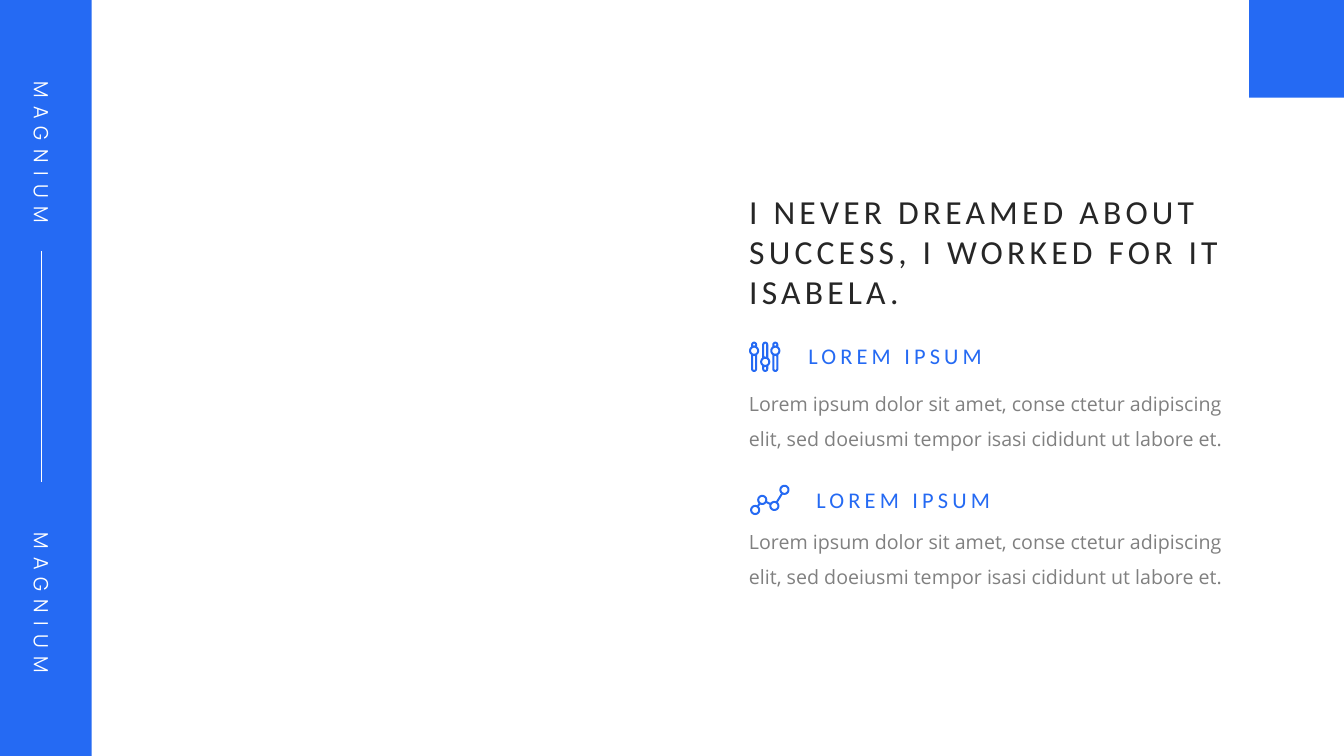
from dataclasses import dataclass
from itertools import pairwise
from math import acos, asin, atan2, cos, hypot, pi, sin

from lxml.etree import SubElement
from pptx import Presentation
from pptx.dml.color import RGBColor
from pptx.enum.shapes import MSO_CONNECTOR, MSO_SHAPE
from pptx.enum.text import MSO_ANCHOR, MSO_AUTO_SIZE, PP_ALIGN
from pptx.oxml.ns import qn
from pptx.shapes.autoshape import Shape
from pptx.slide import Slide
from pptx.util import Inches, Pt

BLUE = "256AF3"
WHITE = "FFFFFF"
DARK = "262626"
GRAY = "808080"
KNOB_RADIUS = 0.05
HOLE_RADIUS = 0.03
TRACK_RADIUS = 0.03
SLOT_RADIUS = 0.01
LINK_WIDTH = 0.02
TRACK_TOP, TRACK_BOTTOM = 3.39, 3.69


@dataclass(frozen=True)
class Box:
    left: float
    top: float
    width: float
    height: float


@dataclass(frozen=True)
class TextStyle:
    font: str
    size: float
    color: str
    spacing: float = 0
    align: PP_ALIGN = PP_ALIGN.LEFT
    line_spacing: float = 1.0
    wrap: bool = True


@dataclass(frozen=True)
class Feature:
    heading: Box
    body: Box


@dataclass(frozen=True)
class Point:
    x: float
    y: float


Outline = list[Point]

TITLE = TextStyle("Calibri", 24, DARK, spacing=3)
HEADING = TextStyle("Calibri", 16, BLUE, spacing=3, align=PP_ALIGN.RIGHT, wrap=False)
BODY = TextStyle("Open Sans", 14, GRAY, line_spacing=1.5)
SIDE_LABEL = TextStyle("Manrope", 14, WHITE, spacing=6, align=PP_ALIGN.CENTER)

TITLE_TEXT = "I NEVER DREAMED ABOUT SUCCESS, I WORKED FOR IT ISABELA."
HEADING_TEXT = "LOREM IPSUM"
BODY_TEXT = (
    "Lorem ipsum dolor sit amet, conse ctetur adipiscing elit, "
    "sed doeiusmi tempor isasi cididunt ut labore et."
)
FEATURES = [
    Feature(Box(7.74, 3.35, 2.1, 0.37), Box(7.33, 3.72, 5.08, 0.77)),
    Feature(Box(7.82, 4.77, 2.1, 0.37), Box(7.33, 5.09, 5.08, 0.77)),
]
SIDE_LABEL_TOPS = [1.34, 5.81]
SLIDER_KNOBS = [Point(7.48, 3.48), Point(7.69, 3.48), Point(7.59, 3.59)]
GRAPH_NODES = [Point(7.49, 5.06), Point(7.56, 4.96), Point(7.68, 5.02), Point(7.78, 4.86)]


def color(value: str) -> RGBColor:
    return RGBColor.from_string(value)


def place(shape: Shape, box: Box) -> None:
    shape.left, shape.top = Inches(box.left), Inches(box.top)
    shape.width, shape.height = Inches(box.width), Inches(box.height)


def write(shape: Shape, text: str, style: TextStyle) -> None:
    frame = shape.text_frame
    frame.text = text
    frame.word_wrap = style.wrap
    frame.auto_size = MSO_AUTO_SIZE.SHAPE_TO_FIT_TEXT
    frame.vertical_anchor = MSO_ANCHOR.TOP
    paragraph = frame.paragraphs[0]
    paragraph.alignment = style.align
    paragraph.line_spacing = style.line_spacing
    for run in paragraph.runs:
        run.font.name = style.font
        run.font.size = Pt(style.size)
        run.font.color.rgb = color(style.color)
        if style.spacing:
            run.font._element.set("spc", str(int(style.spacing * 100)))


def add_text(slide: Slide, box: Box, text: str, style: TextStyle) -> Shape:
    shape = slide.shapes.add_textbox(0, 0, 0, 0)
    write(shape, text, style)
    place(shape, box)
    return shape


def fill_blue(shape: Shape) -> None:
    shape.shadow.inherit = False
    shape.fill.solid()
    shape.fill.fore_color.rgb = color(BLUE)
    shape.line.fill.background()


def add_block(slide: Slide, box: Box) -> None:
    shape = slide.shapes.add_shape(MSO_SHAPE.RECTANGLE, 0, 0, 0, 0)
    place(shape, box)
    fill_blue(shape)


def arc(center: Point, radius: float, start: float, end: float, steps: int = 16) -> Outline:
    angles = [start + (end - start) * step / steps for step in range(steps + 1)]
    return [Point(center.x + radius * cos(a), center.y + radius * sin(a)) for a in angles]


def circle(center: Point, radius: float) -> Outline:
    return arc(center, radius, 0, 2 * pi, 32)


def capsule(x: float, top: float, bottom: float, radius: float) -> Outline:
    return arc(Point(x, top + radius), radius, -pi, 0) + arc(Point(x, bottom - radius), radius, 0, pi)


def slider_outlines(knob: Point) -> list[Outline]:
    joint = acos(TRACK_RADIUS / KNOB_RADIUS)
    body = (
        arc(Point(knob.x, TRACK_TOP + TRACK_RADIUS), TRACK_RADIUS, -pi, 0)
        + arc(knob, KNOB_RADIUS, -joint, joint)
        + arc(Point(knob.x, TRACK_BOTTOM - TRACK_RADIUS), TRACK_RADIUS, 0, pi)
        + arc(knob, KNOB_RADIUS, pi - joint, pi + joint)
    )
    upper_slot = capsule(knob.x, TRACK_TOP + 0.02, knob.y - KNOB_RADIUS, SLOT_RADIUS)
    lower_slot = capsule(knob.x, knob.y + KNOB_RADIUS, TRACK_BOTTOM - 0.02, SLOT_RADIUS)
    return [body, circle(knob, HOLE_RADIUS), upper_slot, lower_slot]


def link_outline(start: Point, end: Point) -> Outline:
    angle = atan2(end.y - start.y, end.x - start.x)
    spread = asin(LINK_WIDTH / 2 / KNOB_RADIUS)
    if hypot(end.x - start.x, end.y - start.y) <= 2 * KNOB_RADIUS:
        return []
    return arc(start, KNOB_RADIUS, angle - spread, angle + spread, 1) + arc(
        end, KNOB_RADIUS, angle + pi - spread, angle + pi + spread, 1
    )


def graph_outlines() -> list[Outline]:
    rings = [circle(node, radius) for node in GRAPH_NODES for radius in (KNOB_RADIUS, HOLE_RADIUS)]
    links = [link_outline(start, end) for start, end in pairwise(GRAPH_NODES)]
    return rings + [link for link in links if link]


def add_icon(slide: Slide, outlines: list[Outline]) -> None:
    contours = [[(Inches(p.x), Inches(p.y)) for p in outline] for outline in outlines]
    builder = slide.shapes.build_freeform(*contours[0][0])
    for contour in contours:
        if contour is not contours[0]:
            builder.move_to(*contour[0])
        builder.add_line_segments(contour[1:], close=True)
    fill_blue(builder.convert_to_shape())


def add_sidebar(slide: Slide) -> None:
    add_block(slide, Box(-0.03, 0, 0.94, 7.5))
    for top in SIDE_LABEL_TOPS:
        label = add_text(slide, Box(-0.57, top, 1.96, 0.34), "MAGNIUM", SIDE_LABEL)
        label.rotation = 90
    rule = slide.shapes.add_connector(
        MSO_CONNECTOR.STRAIGHT, Inches(0.41), Inches(2.49), Inches(0.41), Inches(4.78)
    )
    rule.line.color.rgb = color(WHITE)
    rule.line.width = Pt(0.5)
    SubElement(rule._element.spPr, qn("a:effectLst"))


def main() -> None:
    presentation = Presentation()
    presentation.slide_width, presentation.slide_height = Inches(13.33), Inches(7.5)
    slide = presentation.slides.add_slide(presentation.slide_layouts[5])
    add_sidebar(slide)
    add_block(slide, Box(12.39, 0, 0.94, 0.97))
    write(slide.shapes.title, TITLE_TEXT, TITLE)
    place(slide.shapes.title, Box(7.33, 1.84, 5.09, 1.31))
    for feature in FEATURES:
        add_text(slide, feature.heading, HEADING_TEXT, HEADING)
        add_text(slide, feature.body, BODY_TEXT, BODY)
    add_icon(slide, graph_outlines())
    for knob in SLIDER_KNOBS:
        add_icon(slide, slider_outlines(knob))
    presentation.save("out.pptx")


if __name__ == "__main__":
    main()
